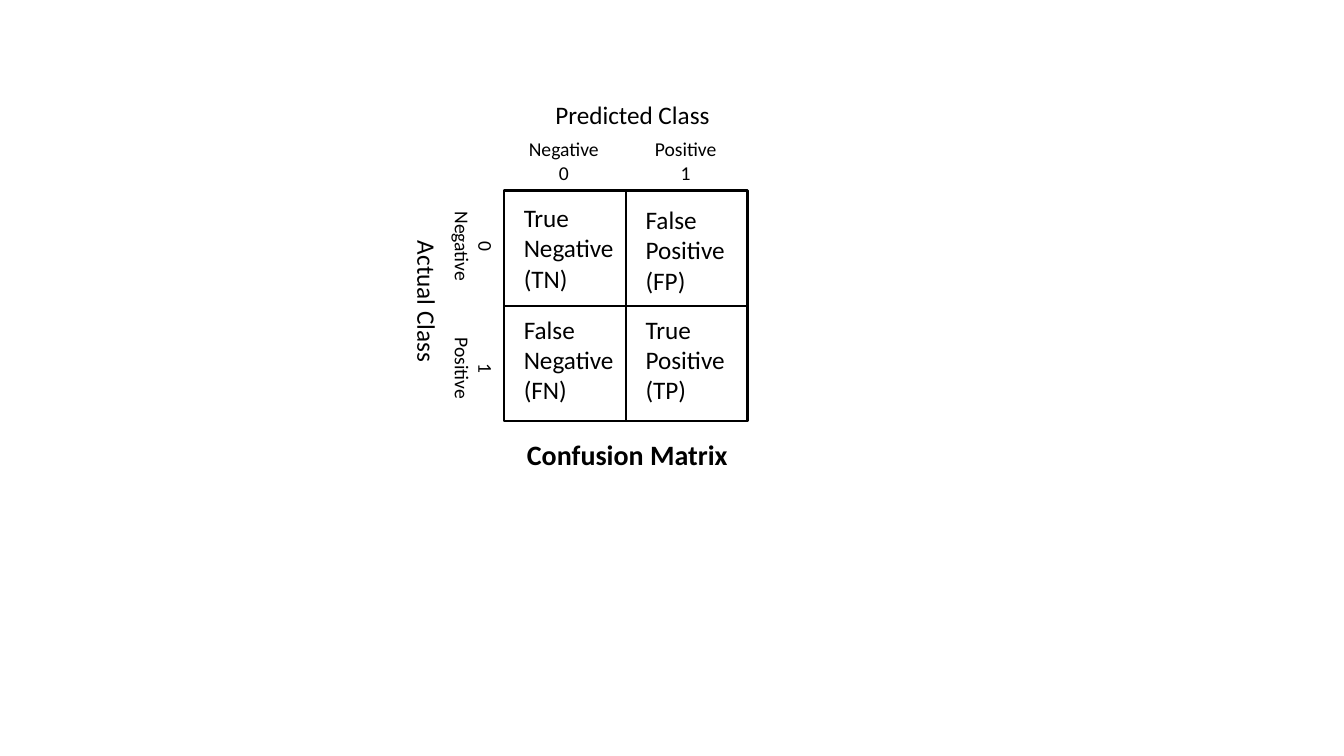
from pptx import Presentation
from pptx.dml.color import RGBColor
from pptx.enum import shapes, text
from pptx.util import Cm, Pt

BLACK = "000000"
CELL_W, CELL_H = 3.07, 2.91
MATRIX = (12.7, 4.8, 2 * CELL_W, 2 * CELL_H)
CLASSES = [("Negative", "0", 2.31), ("Positive", "1", 2.08)]
OUTCOMES = [
    [("True", "Negative", "(TN)", 2.79, 0.18), ("False", "Positive", "(FP)", 2.54, 0.23)],
    [("False", "Negative", "(FN)", 2.79, 0.08), ("True", "Positive", "(TP)", 2.54, 0.08)],
]


def color(value):
    return RGBColor.from_string(value)


def add_label(slide, lines, box, size, align=text.PP_ALIGN.LEFT, bold=False, rotation=0):
    label = slide.shapes.add_textbox(*map(Cm, box))
    label.rotation = rotation
    frame = label.text_frame
    frame.word_wrap = False
    frame.auto_size = text.MSO_AUTO_SIZE.SHAPE_TO_FIT_TEXT
    frame.text = "\n".join(lines)
    for paragraph in frame.paragraphs:
        paragraph.alignment = align
        font = paragraph.font
        font.name, font.size, font.bold = "Calibri", Pt(size), bold
        font.color.rgb = color(BLACK)


def add_centered(slide, lines, center, extent, size, bold=False, rotation=0):
    (x, y), (width, height) = center, extent
    box = (x - width / 2, y - height / 2, width, height)
    add_label(slide, lines, box, size, text.PP_ALIGN.CENTER, bold, rotation)


def add_cells(slide, box):
    left, top, width, height = box
    cell_w, cell_h = width / 2, height / 2
    for row, outcomes in enumerate(OUTCOMES):
        for column, (*lines, text_w, inset) in enumerate(outcomes):
            x, y = left + column * cell_w, top + row * cell_h
            cell = slide.shapes.add_shape(
                shapes.MSO_SHAPE.RECTANGLE, Cm(x), Cm(y), Cm(cell_w), Cm(cell_h))
            cell.shadow.inherit = False
            cell.fill.background()
            cell.line.color.rgb = color(BLACK)
            cell.line.width = Pt(1.5)
            add_label(slide, lines, (x + 0.25, y + inset, text_w, 2.57), 18)


def add_predicted_axis(slide, box):
    left, top, width, _ = box
    add_centered(slide, ["Predicted Class"], (left + 3.24, top - 1.9), (4.45, 1.02), 18)
    for index, (name, digit, label_w) in enumerate(CLASSES):
        center = (left + 1.51 + index * width / 2, top - 0.75)
        add_centered(slide, [name, digit], center, (label_w, 1.45), 14)


def add_actual_axis(slide, box):
    left, top, width, _ = box
    add_centered(slide, ["Actual Class"], (left - 1.93, top + 2.8), (3.61, 1.02), 18, rotation=90)
    for index, (name, digit, label_w) in enumerate(CLASSES):
        center = (left - 0.75, top + 1.41 + index * width / 2)
        add_centered(slide, [digit, name], center, (label_w, 1.45), 14, rotation=90)


def add_title(slide, box):
    left, top, width, height = box
    center = (left + width / 2 + 0.04, top + height + 0.84)
    add_centered(slide, ["Confusion Matrix"], center, (5.61, 1.12), 20, bold=True)


presentation = Presentation()
presentation.slide_width, presentation.slide_height = Cm(33.87), Cm(19.05)
confusion_slide = presentation.slides.add_slide(presentation.slide_layouts[6])
for add_region in (add_cells, add_predicted_axis, add_actual_axis, add_title):
    add_region(confusion_slide, MATRIX)
presentation.save("out.pptx")
